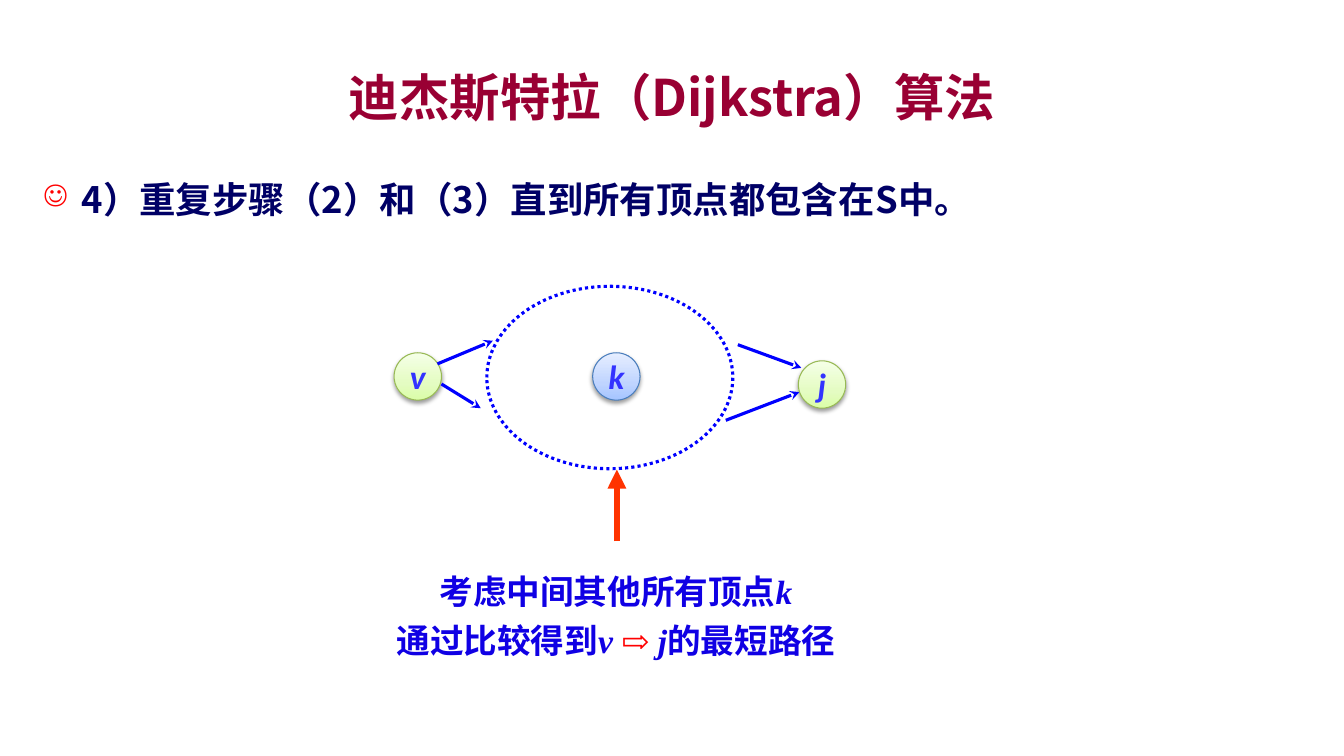
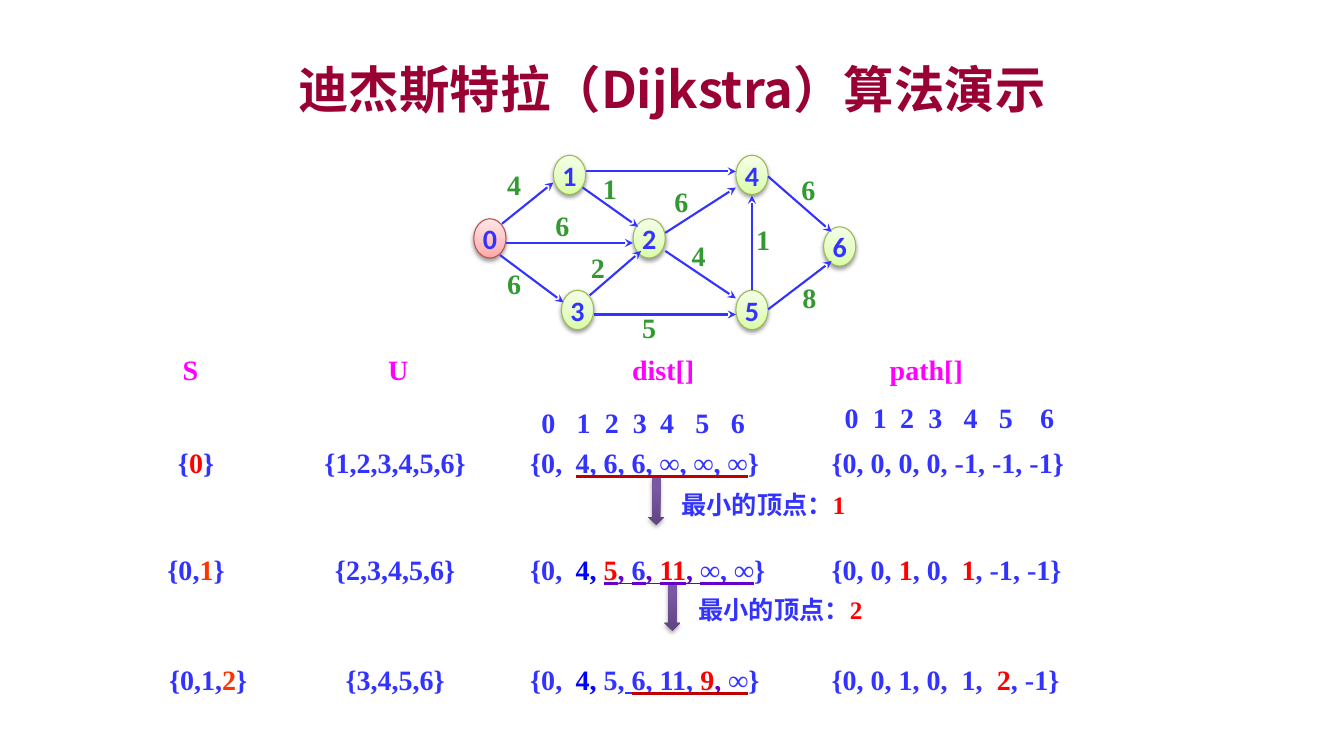
from lxml.etree import SubElement
from pptx import Presentation
from pptx.dml.color import RGBColor
from pptx.enum.dml import MSO_LINE
from pptx.enum.shapes import MSO_CONNECTOR, MSO_SHAPE
from pptx.enum.text import MSO_ANCHOR, MSO_AUTO_SIZE, MSO_UNDERLINE, PP_ALIGN
from pptx.oxml.ns import qn
from pptx.util import Inches, Pt

CELL = Inches(0.1)
COLUMNS, ROWS = 133.33, 75
CJK, SERIF, SANS = "Noto Sans CJK SC", "Times New Roman", "Calibri"
MAROON, NAVY, RED, ORANGE = "990033", "000066", "FF0000", "FF3300"
BLUE, PURE_BLUE, CAPTION_BLUE = "3333FF", "0000FF", "1000E4"
GREEN, MAGENTA, VIOLET, DARK_RED = "339933", "FF00FF", "6600CC", "C00000"
color = RGBColor.from_string


def cells(*lengths):
    return [round(length * CELL) for length in lengths]


def write(shape, paragraphs, size, font=SERIF, alignment=PP_ALIGN.CENTER, tabs=()):
    frame = shape.text_frame
    frame.word_wrap = True
    frame.auto_size = MSO_AUTO_SIZE.NONE
    frame.vertical_anchor = MSO_ANCHOR.MIDDLE
    frame.margin_left = frame.margin_right = frame.margin_top = frame.margin_bottom = 0
    for index, runs in enumerate(paragraphs):
        paragraph = frame.add_paragraph() if index else frame.paragraphs[0]
        paragraph.alignment = alignment
        paragraph.space_before = Pt(6 if index else 0)
        if tabs:
            tab_list = SubElement(paragraph._p.get_or_add_pPr(), qn("a:tabLst"))
            for position in cells(*tabs):
                SubElement(tab_list, qn("a:tab"), pos=str(position), algn="l")
        for text, text_color, *style in runs:
            run = paragraph.add_run()
            run.text = text
            run.font.size = Pt(size)
            run.font.bold = True
            run.font.italic = "italic" in style
            run.font.color.rgb = color(text_color)
            properties = run._r.get_or_add_rPr()
            for underline in style:
                if underline != "italic":
                    same = underline == text_color
                    run.font.underline = True if same else MSO_UNDERLINE.HEAVY_LINE
                    fill = SubElement(SubElement(properties, qn("a:uFill")), qn("a:solidFill"))
                    SubElement(fill, qn("a:srgbClr"), val=underline)
            run.font.name = font
            SubElement(properties, qn("a:ea"), typeface=CJK)


presentation = Presentation()
presentation.slide_width, presentation.slide_height = cells(COLUMNS, ROWS)

titles = [
    ("迪杰斯特拉（Dijkstra）算法", 5.8, 7.5),
    ("迪杰斯特拉（Dijkstra）算法演示", 4.2, 9.1),
]
for text, top, height in titles:
    slide = presentation.slides.add_slide(presentation.slide_layouts[5])
    title = slide.shapes.title
    title.left, title.top, title.width, title.height = cells(10, top, COLUMNS - 20, height)
    write(title, [[(text, MAROON)]], 36, CJK)
step_slide, demo_slide = presentation.slides

step = step_slide.shapes.add_textbox(*cells(4.3, 16, 124.7, 7.5))
write(step, [[("4）重复步骤（2）和（3）直到所有顶点都包含在S中。", NAVY)]], 26, CJK, PP_ALIGN.LEFT)
bullet = step.text_frame.paragraphs[0]._p.get_or_add_pPr()
indent = cells(3.8)[0]
bullet.set("marL", str(indent))
bullet.set("indent", str(-indent))
SubElement(SubElement(bullet, qn("a:buClr")), qn("a:srgbClr"), val=RED)
SubElement(bullet, qn("a:buSzPct"), val="80000")
SubElement(bullet, qn("a:buChar"), char="☺")

vertex_set = step_slide.shapes.add_shape(MSO_SHAPE.OVAL, *cells(48.3, 28.4, 24.4, 18.1))
vertex_set.shadow.inherit = False
vertex_set.fill.background()
vertex_set.line.color.rgb = color(PURE_BLUE)
vertex_set.line.width = Pt(2.25)
vertex_set.line.dash_style = MSO_LINE.ROUND_DOT

caption = step_slide.shapes.add_textbox(*cells(33.9, 55.5, 54.4, 11.1))
write(caption, [
    [("考虑中间其他所有顶点", CAPTION_BLUE), ("k", CAPTION_BLUE, "italic")],
    [("通过比较得到", CAPTION_BLUE), ("v ", CAPTION_BLUE, "italic"), ("⇨ ", RED),
     ("j", CAPTION_BLUE, "italic"), ("的最短路径", CAPTION_BLUE)],
], 24)

green_node = ([(0, "DAFDA7"), (35, "E4FCC2"), (100, "F5FFE7")], "98B955")
blue_node = ([(0, "A4C4FF"), (35, "BFD4FF"), (100, "E6EEFF")], "4B7EBC")
red_node = ([(0, "FFA6A5"), (35, "FFC0BF"), (100, "FFE7E7")], "BF4C48")
purple_arrow = ([(0, "5F4480"), (80, "7B58A6"), (100, "7C57A8")], None)

shaded_shapes = [
    (step_slide, "v", 39.1, 35, green_node),
    (step_slide, "j", 79.2, 35.8, green_node),
    (step_slide, "k", 58.8, 35, blue_node),
    (demo_slide, "0", 47, 21.7, red_node),
    (demo_slide, "1", 54.9, 15.4, green_node),
    (demo_slide, "3", 55.7, 28.8, green_node),
    (demo_slide, "2", 62.8, 21.7, green_node),
    (demo_slide, "4", 73, 15.4, green_node),
    (demo_slide, "5", 73, 28.8, green_node),
    (demo_slide, "6", 81.7, 22.5, green_node),
    (demo_slide, "", 64.3, 47.4, purple_arrow),
    (demo_slide, "", 65.9, 57.9, purple_arrow),
]
for slide, label, left, top, (stops, outline) in shaded_shapes:
    is_step_node = slide is step_slide
    if not label:
        preset, width, height = MSO_SHAPE.DOWN_ARROW, 1.6, 4.7
    elif is_step_node:
        preset, width, height = MSO_SHAPE.OVAL, 4.7, 4.7
    else:
        preset, width, height = MSO_SHAPE.OVAL, 3.2, 3.9
    shape = slide.shapes.add_shape(preset, *cells(left, top, width, height))
    shape.fill.gradient()
    shape.fill.gradient_angle = 90
    properties = shape.element.spPr
    stop_list = properties.find(qn("a:gradFill")).find(qn("a:gsLst"))
    for old_stop in list(stop_list):
        stop_list.remove(old_stop)
    for position, stop_color in stops:
        stop = SubElement(stop_list, qn("a:gs"), pos=str(position * 1000))
        SubElement(stop, qn("a:srgbClr"), val=stop_color)
    if outline:
        shape.line.color.rgb = color(outline)
        shape.line.width = Pt(0.75)
    else:
        shape.line.fill.background()
    shape.shadow.inherit = False
    shadow = SubElement(properties.find(qn("a:effectLst")), qn("a:outerShdw"),
                        blurRad=str(Pt(3.1)), dist=str(Pt(1.6 if label else 1.8)),
                        dir="5400000", rotWithShape="0")
    shadow_color = SubElement(shadow, qn("a:srgbClr"), val="000000")
    SubElement(shadow_color, qn("a:alpha"), val="38000" if label else "35000")
    if label:
        style = ["italic"] if is_step_node else []
        write(shape, [[(label, BLUE, *style)]], 24 if is_step_node else 20, SANS)

step_arrow = (step_slide, PURE_BLUE, 2.25, "stealth")
pointer = (step_slide, ORANGE, 4.5, "triangle")
edge = (demo_slide, BLUE, 1.5, "stealth")
arrows = [
    (step_arrow, 43.4, 36.1, 48.9, 33.8),
    (step_arrow, 43.8, 38.1, 47.7, 40.5),
    (step_arrow, 73.2, 34.2, 79.5, 36.5),
    (step_arrow, 72, 41.7, 79.3, 38.9),
    (pointer, 61.2, 53.7, 61.2, 46.6),
    (edge, 49.8, 22.2, 54.9, 18.1),
    (edge, 50.2, 24.1, 62.8, 24.1),
    (edge, 49.6, 25.3, 55.9, 30),
    (edge, 58.1, 17, 73, 17),
    (edge, 58.9, 31.2, 73, 31.2),
    (edge, 58.5, 29.3, 63.6, 24.9),
    (edge, 57.8, 18.6, 63.3, 22.5),
    (edge, 66, 23.1, 73, 18.6),
    (edge, 66, 24.9, 73, 29.6),
    (edge, 74.6, 28.8, 74.6, 19.4),
    (edge, 76.2, 30.7, 82.5, 25.9),
    (edge, 76.2, 17.5, 82.5, 23),
]
for (slide, line_color, weight, head), *ends in arrows:
    connector = slide.shapes.add_connector(MSO_CONNECTOR.STRAIGHT, *cells(*ends))
    connector.line.color.rgb = color(line_color)
    connector.line.width = Pt(weight)
    properties = connector.element.spPr
    SubElement(properties.find(qn("a:ln")), qn("a:tailEnd"), type=head)
    SubElement(properties, qn("a:effectLst"))

weights = [
    ("4", 51, 18.3), ("6", 67.6, 20), ("1", 75.7, 23.7), ("6", 80.2, 18.8),
    ("8", 80.3, 29.5), ("5", 64.4, 32.5), ("6", 51, 28.1), ("6", 55.8, 22.4),
    ("2", 59.3, 26.5), ("4", 69.3, 25.3), ("1", 60.5, 18.7),
]
for text, center, middle in weights:
    weight = demo_slide.shapes.add_textbox(*cells(center - 1.6, middle - 1.65, 3.2, 3.3))
    write(weight, [[(text, GREEN)]], 20)

headings = [("S", 18.9), ("U", 39.5), ("dist[]", 65.8), ("path[]", 91.9)]
for text, center in headings:
    heading = demo_slide.shapes.add_textbox(*cells(center - 5, 35, 10, 3.3))
    write(heading, [[(text, MAGENTA)]], 20)

index_rows = [
    (53.7, 40.2, 24.4, (3.5, 6.3, 9.1, 11.8, 15.3, 18.8)),
    (83.8, 39.8, 22, (2.8, 5.5, 8.3, 11.8, 15.3, 19.4)),
]
for left, top, width, tabs in index_rows:
    indices = demo_slide.shapes.add_textbox(*cells(left, top, width, 3.3))
    write(indices, [[("\t".join("0123456"), BLUE)]], 20, alignment=PP_ALIGN.LEFT, tabs=tabs)

states = [
    (44.2, 6.3,
     [("{", BLUE), ("0", RED), ("}", BLUE)],
     [("{1,2,3,4,5,6}", BLUE)],
     [("{0,\t", BLUE), ("4, 6, 6, ∞, ∞, ∞", BLUE, DARK_RED), ("}", BLUE)],
     [("{0, 0, 0, 0, -1, -1, -1}", BLUE)]),
    (54.8, 6.3,
     [("{0,", BLUE), ("1", ORANGE), ("}", BLUE)],
     [("{2,3,4,5,6}", BLUE)],
     [("{0,\t", BLUE), ("4, ", PURE_BLUE), ("5", RED, VIOLET), (", ", VIOLET, VIOLET),
      ("6", BLUE, VIOLET), (", ", VIOLET, VIOLET), ("11", RED, VIOLET),
      (", ", VIOLET, VIOLET), ("∞, ∞", BLUE, VIOLET), ("}", BLUE)],
     [("{0, 0, ", BLUE), ("1", RED), (", 0,\t", BLUE), ("1", RED), (", -1, -1}", BLUE)]),
    (65.7, 8.7,
     [("{0,1,", BLUE), ("2", ORANGE), ("}", BLUE)],
     [("{3,4,5,6}", BLUE)],
     [("{0,\t", BLUE), ("4, ", PURE_BLUE), ("5,", BLUE), (" ", BLUE, BLUE),
      ("6, 11,", BLUE, DARK_RED), (" ", VIOLET, DARK_RED), ("9", RED, DARK_RED),
      (", ", VIOLET, DARK_RED), ("∞", BLUE, DARK_RED), ("}", BLUE)],
     [("{0, 0, 1, 0,\t1,\t", BLUE), ("2", RED), (", -1}", BLUE)]),
]
for top, chosen_width, *entries in states:
    columns = [
        (16.3, chosen_width, PP_ALIGN.CENTER, ()),
        (31.3, 15.8, PP_ALIGN.CENTER, ()),
        (52.6, 26.8, PP_ALIGN.LEFT, (4.5,)),
        (82.5, 26.8, PP_ALIGN.LEFT, (12.9, 16.4)),
    ]
    for runs, (left, width, alignment, tabs) in zip(entries, columns):
        entry = demo_slide.shapes.add_textbox(*cells(left, top, width, 3.3))
        write(entry, [runs], 20, alignment=alignment, tabs=tabs)

for vertex, left, top in [("1", 67.6, 48), ("2", 69.3, 58.5)]:
    nearest = demo_slide.shapes.add_textbox(*cells(left, top, 19.1, 4))
    write(nearest, [[("最小的顶点：", BLUE), (vertex, RED)]], 18, alignment=PP_ALIGN.LEFT)

presentation.save("out.pptx")
